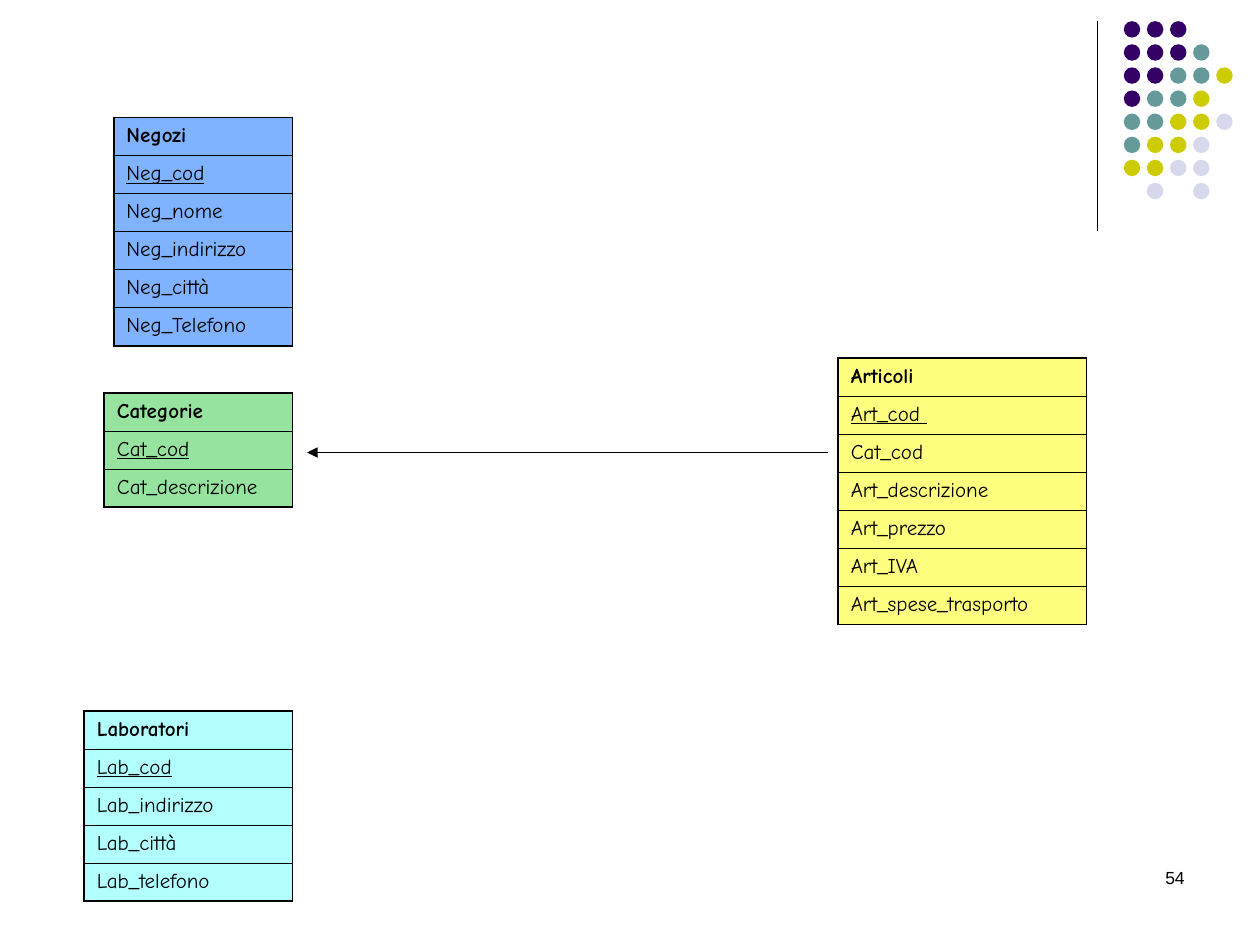
import pptx
import pptx.util
from pptx.dml.color import RGBColor
from pptx.enum.shapes import MSO_CONNECTOR, MSO_SHAPE
from pptx.enum.text import PP_ALIGN
from pptx.oxml.ns import qn
from lxml import etree

Pt = pptx.util.Pt

COLORS = {
    "ink": "000000",
    "purple": "330066",
    "teal": "669999",
    "olive": "CCCC00",
    "lavender": "D8D8EC",
    "shops": "0066FF",
    "categories": "2FC741",
    "articles": "FFFF00",
    "laboratories": "66FFFF",
}
DOT_COLORS = {"p": "purple", "t": "teal", "o": "olive", "l": "lavender"}
DOT_ROWS = ["ppp", "pppt", "pptto", "ptto", "ttool", "tool", "ooll", " l l"]
ROW_HEIGHT = 21.75
OUTER_BORDER, INNER_BORDER = 1.08, 0.45

# Each entity: color, left, top, width, rows (name, key, other fields)
ENTITIES = [
    ("categories", 59.6, 224.6, 107.6, ["Categorie", "Cat_cod", "Cat_descrizione"]),
    ("articles", 479, 204.6, 141.9,
     ["Articoli", "Art_cod ", "Cat_cod", "Art_descrizione", "Art_prezzo",
      "Art_IVA", "Art_spese_trasporto"]),
    ("laboratories", 48.1, 406.2, 119.1,
     ["Laboratori", "Lab_cod", "Lab_indirizzo", "Lab_città", "Lab_telefono"]),
    ("shops", 65, 67.1, 102.2,
     ["Negozi", "Neg_cod", "Neg_nome", "Neg_indirizzo", "Neg_città", "Neg_Telefono"]),
]


def color(name):
    return RGBColor.from_string(COLORS[name])


def add_line(slide, start, end, arrow=False):
    line = slide.shapes.add_connector(
        MSO_CONNECTOR.STRAIGHT, *(Pt(value) for value in (*start, *end)))
    line.line.color.rgb = color("ink")
    line.line.width = Pt(0.75)
    if arrow:
        etree.SubElement(line.line._get_or_add_ln(), qn("a:tailEnd"), type="triangle")
    etree.SubElement(line._element.spPr, qn("a:effectLst"))


def add_dots(slide, left, top, pitch, size):
    group = slide.shapes.add_group_shape()
    for row, codes in enumerate(DOT_ROWS):
        for column, code in enumerate(codes):
            if code == " ":
                continue
            dot = group.shapes.add_shape(
                MSO_SHAPE.OVAL, Pt(left + column * pitch), Pt(top + row * pitch),
                Pt(size), Pt(size))
            dot.shadow.inherit = False
            dot.fill.solid()
            dot.fill.fore_color.rgb = color(DOT_COLORS[code])
            dot.line.fill.background()


def set_borders(cell, widths):
    """Draw the cell edges; widths maps L, R, T and B to points."""
    properties = cell._tc.get_or_add_tcPr()
    for side, width in widths.items():
        edge = etree.SubElement(properties, qn(f"a:ln{side}"), w=str(Pt(width)))
        fill = etree.SubElement(edge, qn("a:solidFill"))
        etree.SubElement(fill, qn("a:srgbClr"), val=COLORS["ink"])


def set_half_fill(cell, name):
    """Fill the cell with a color at half opacity."""
    cell.fill.solid()
    cell.fill.fore_color.rgb = color(name)
    fill_color = cell._tc.tcPr.find(qn("a:solidFill")).find(qn("a:srgbClr"))
    etree.SubElement(fill_color, qn("a:alpha"), val="50000")


def add_entity(slide, fill_name, left, top, width, rows):
    last = len(rows) - 1
    table = slide.shapes.add_table(
        len(rows), 1, Pt(left), Pt(top), Pt(width), Pt(ROW_HEIGHT * len(rows))).table
    table.first_row = table.horz_banding = False
    for index, text in enumerate(rows):
        table.rows[index].height = Pt(ROW_HEIGHT)
        cell = table.cell(index, 0)
        set_borders(cell, {
            "L": OUTER_BORDER,
            "R": OUTER_BORDER,
            "T": OUTER_BORDER if index == 0 else INNER_BORDER,
            "B": OUTER_BORDER if index == last else INNER_BORDER,
        })
        set_half_fill(cell, fill_name)
        cell.text = text
        font = cell.text_frame.paragraphs[0].runs[0].font
        font.name = "Comic Neue"
        font.size = Pt(12)
        font.color.rgb = color("ink")
        font.bold = index == 0
        font.underline = index == 1


def add_slide_number(slide, left, top, width, height):
    box = slide.shapes.add_textbox(Pt(left), Pt(top), Pt(width), Pt(height))
    box.text_frame.word_wrap = True
    paragraph = box.text_frame.paragraphs[0]
    paragraph.text = "54"
    paragraph.alignment = PP_ALIGN.RIGHT
    paragraph.font.name = "Arial"
    paragraph.font.size = Pt(10)
    paragraph.font.color.rgb = color("ink")


def main():
    presentation = pptx.Presentation()
    presentation.slide_width, presentation.slide_height = Pt(720), Pt(540)
    slide = presentation.slides.add_slide(presentation.slide_layouts[6])
    add_line(slide, (627, 12), (627, 132))
    add_dots(slide, left=642.2, top=12.1, pitch=13.2, size=9.4)
    for entity in ENTITIES:
        add_entity(slide, *entity)
    add_line(slide, (473.3, 258.6), (175.5, 258.6), arrow=True)
    add_slide_number(slide, 516, 492, 168, 36)
    presentation.save("out.pptx")


if __name__ == "__main__":
    main()
